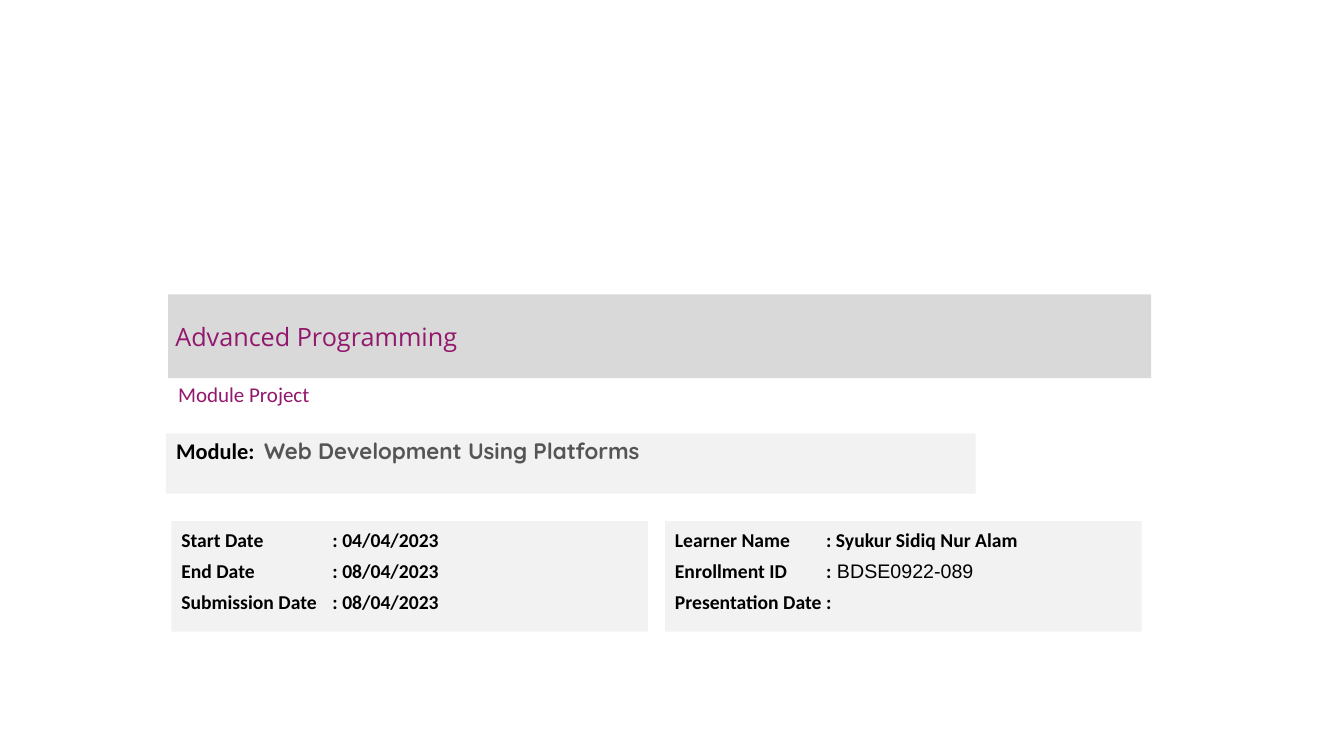
from dataclasses import dataclass
from typing import Any

from lxml.etree import SubElement
from pptx import Presentation
from pptx.dml.color import RGBColor
from pptx.enum.shapes import MSO_SHAPE as Preset
from pptx.enum.text import MSO_ANCHOR as Anchor, PP_ALIGN as Align
from pptx.oxml.ns import qn
from pptx.util import Cm, Pt

PURPLE = "93176C"
BLACK = "000000"
PANEL_GREY = "F2F2F2"
LABEL_TAB = 3.81
DETAIL_SPACING = {"line_spacing": Pt(18), "space_before": Pt(2), "space_after": Pt(2)}
DETAIL_FONT = {"name": "Calibri", "size": Pt(14), "bold": True}
MODULE_FONT = {"name": "Calibri", "size": Pt(16), "bold": True}


@dataclass(frozen=True)
class Piece:
    text: str
    font: dict[str, Any]
    color: str = BLACK


@dataclass(frozen=True)
class Panel:
    left: float
    top: float
    width: float
    height: float
    lines: list[list[Piece]]
    fill: str | None = PANEL_GREY
    anchor: Anchor = Anchor.TOP
    margins: tuple[float, float] = (0.25, 0.13)
    spacing: dict[str, Any] | None = None
    tab: float | None = None


def color_of(value: str) -> RGBColor:
    return RGBColor.from_string(value)


def apply_format(target: Any, values: dict[str, Any]) -> None:
    for name, value in values.items():
        setattr(target, name, value)


def detail(label: str, value: str, **changes: Any) -> list[Piece]:
    return [Piece(f"{label}\t:", DETAIL_FONT), Piece(value, DETAIL_FONT | changes)]


def add_tab_stop(paragraph: Any, position: float) -> None:
    properties = paragraph._p.get_or_add_pPr()
    tab_list = SubElement(properties, qn("a:tabLst"))
    SubElement(tab_list, qn("a:tab"), pos=str(Cm(position)), algn="l")


def write_line(paragraph: Any, pieces: list[Piece], panel: Panel) -> None:
    apply_format(paragraph, {"alignment": Align.LEFT} | (panel.spacing or {}))
    if panel.tab is not None:
        add_tab_stop(paragraph, panel.tab)
    for piece in pieces:
        if piece.text:
            run = paragraph.add_run()
            run.text = piece.text
            apply_format(run.font, piece.font)
            run.font.color.rgb = color_of(piece.color)


def add_panel(slide: Any, panel: Panel) -> None:
    box = [Cm(value) for value in (panel.left, panel.top, panel.width, panel.height)]
    if panel.fill is None:
        shape = slide.shapes.add_textbox(*box)
    else:
        shape = slide.shapes.add_shape(Preset.RECTANGLE, *box)
        shape.shadow.inherit = False
        shape.fill.solid()
        shape.fill.fore_color.rgb = color_of(panel.fill)
        shape.line.fill.background()
    frame = shape.text_frame
    side, edge = (Cm(value) for value in panel.margins)
    apply_format(frame, {
        "word_wrap": True, "vertical_anchor": panel.anchor,
        "margin_left": side, "margin_right": side,
        "margin_top": edge, "margin_bottom": edge,
    })
    for index, pieces in enumerate(panel.lines):
        paragraph = frame.add_paragraph() if index else frame.paragraphs[0]
        write_line(paragraph, pieces, panel)


DATES = [
    detail("Start Date", " 04/04/2023"),
    detail("End Date", " 08/04/2023"),
    detail("Submission Date", " 08/04/2023"),
]
LEARNER = [
    detail("Learner Name", " Syukur Sidiq Nur Alam"),
    detail("Enrollment ID", " BDSE0922-089", name="Arial", bold=False),
    detail("Presentation Date", ""),
]
TITLE = [[Piece("Advanced Programming", {"name": "Open Sans", "size": Pt(18)}, PURPLE)]]
SUBTITLE = [[Piece("Module Project", {"name": "Calibri", "size": Pt(15)}, PURPLE)]]
MODULE = [[
    Piece("Module:\t", MODULE_FONT),
    Piece("Web Development Using Platforms", MODULE_FONT | {"name": "Quicksand"}, "555555"),
]]
PANELS = [
    Panel(4.24, 7.42, 24.77, 2.11, TITLE, "D9D9D9", Anchor.MIDDLE, (0.18, 0.1)),
    Panel(4.24, 9.14, 16.31, 1.57, SUBTITLE, None, Anchor.MIDDLE),
    Panel(4.19, 10.92, 20.4, 1.52, MODULE, spacing=DETAIL_SPACING, tab=2.22),
    *(
        Panel(left, 13.13, 12.01, 2.79, lines, spacing=DETAIL_SPACING, tab=LABEL_TAB)
        for left, lines in ((4.32, DATES), (16.76, LEARNER))
    ),
]


def main() -> None:
    presentation = Presentation()
    apply_format(presentation, {"slide_width": Cm(33.87), "slide_height": Cm(19.05)})
    slide = presentation.slides.add_slide(presentation.slide_layouts[6])
    for panel in PANELS:
        add_panel(slide, panel)
    presentation.save("out.pptx")


if __name__ == "__main__":
    main()
